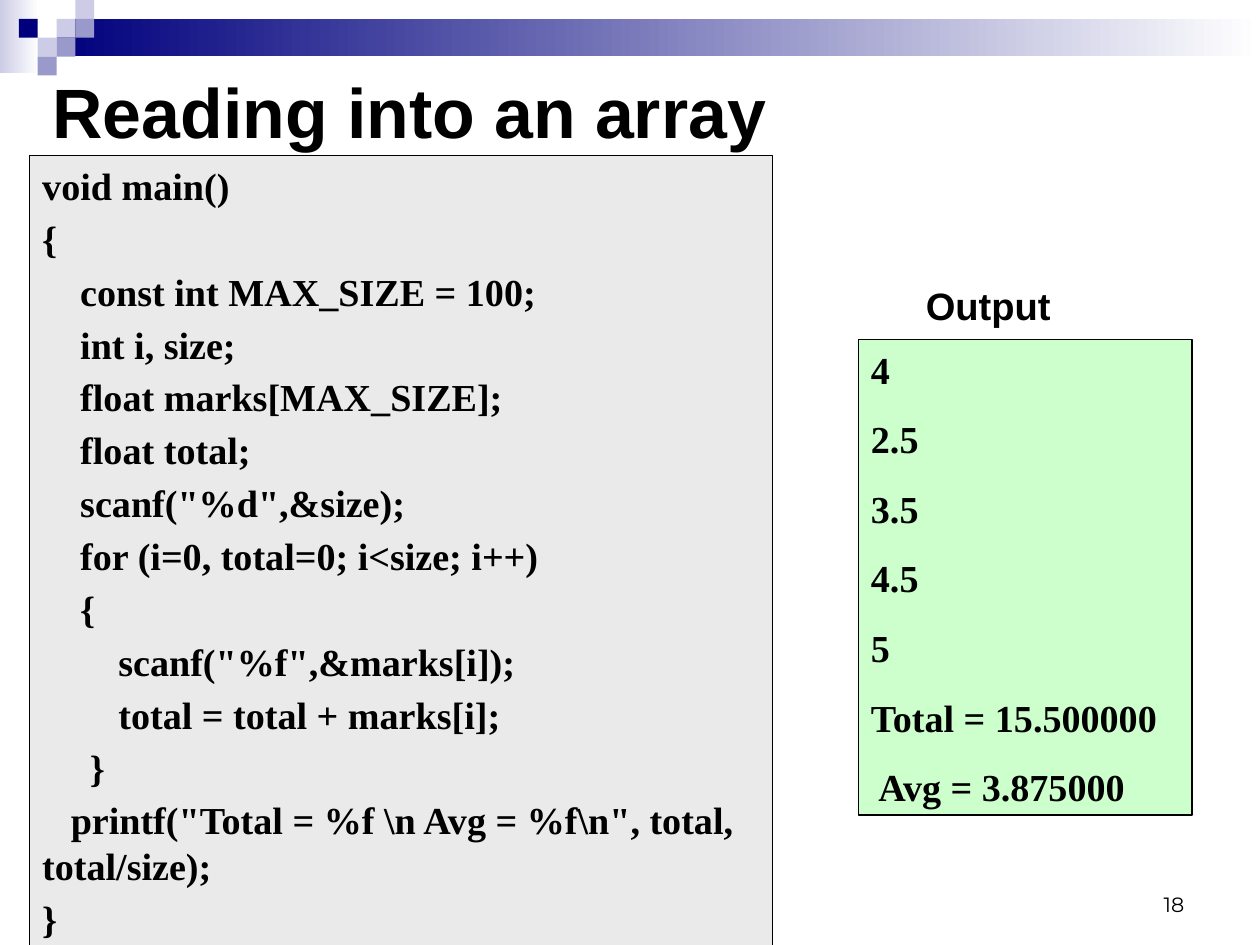
import pptx
import pptx.util
import pptx.dml.color
import pptx.enum.shapes
import pptx.enum.text

Inches, Pt = pptx.util.Inches, pptx.util.Pt
ALIGN, ANCHOR = pptx.enum.text.PP_ALIGN, pptx.enum.text.MSO_ANCHOR

TITLE = "Reading into an array"
HEADING = "Output"
NUMBER = "18"
CODE = [
    "void main()",
    "{",
    "    const int MAX_SIZE = 100;",
    "    int i, size;",
    "    float marks[MAX_SIZE];",
    "    float total;",
    '    scanf("%d",&size);',
    "    for (i=0, total=0; i<size; i++)",
    "    {",
    '        scanf("%f",&marks[i]);',
    "        total = total + marks[i];",
    "     }",
    '   printf("Total = %f \\n Avg = %f\\n", total, total/size);',
    "}",
]
OUTPUT = ["4", "2.5", "3.5", "4.5", "5", "Total = 15.500000", " Avg = 3.875000"]

WIDTH, HEIGHT = 28 / 2.54, 21 / 2.54
NAVY, MID, PALE, WHITE, BLACK = "00007D", "9999CC", "CCCCE6", "FFFFFF", "000000"
STEP = 0.66 / 4
BANDS = [
    ((0, 0, 0.34, 0.64), PALE),
    ((0.5, STEP, WIDTH - 0.5, 2 * STEP), NAVY),
]
SQUARES = [
    (3, 1, PALE), (4, 0, PALE), (4, 1, MID), (2, 2, PALE),
    (1, 1, NAVY), (3, 2, MID), (2, 3, MID),
]


def rgb(value):
    return pptx.dml.color.RGBColor.from_string(value)


def add_rect(s, box, fill, line=None, fade=None):
    sp = s.shapes.add_shape(
        pptx.enum.shapes.MSO_SHAPE.RECTANGLE, *[Inches(v) for v in box])
    sp.shadow.inherit = False
    if fade:
        sp.fill.gradient()
        sp.fill.gradient_angle = 0
        for stop, color in zip(sp.fill.gradient_stops, (fill, fade)):
            stop.color.rgb = rgb(color)
    else:
        sp.fill.solid()
        sp.fill.fore_color.rgb = rgb(fill)
    if line:
        sp.line.color.rgb = rgb(line)
        sp.line.width = Pt(1)
    else:
        sp.line.fill.background()
    return sp


def add_box(s, box):
    return s.shapes.add_textbox(*[Inches(v) for v in box])


def write(sp, lines, size, font, bold=True, gap=0,
          align=ALIGN.LEFT, anchor=ANCHOR.TOP, inset=(0.11, 0.06)):
    tf = sp.text_frame
    tf.word_wrap = True
    tf.vertical_anchor = anchor
    tf.margin_left = tf.margin_right = Inches(inset[0])
    tf.margin_top = tf.margin_bottom = Inches(inset[1])
    for i, line in enumerate(lines):
        p = tf.add_paragraph() if i else tf.paragraphs[0]
        p.alignment = align
        if i:
            p.space_before = Pt(gap)
        r = p.add_run()
        r.text = line
        r.font.size = Pt(size)
        r.font.name = font
        r.font.bold = bold
        r.font.color.rgb = rgb(BLACK)


def main():
    prs = pptx.Presentation()
    prs.slide_width, prs.slide_height = Inches(WIDTH), Inches(HEIGHT)
    s = prs.slides.add_slide(prs.slide_layouts[6])

    for box, color in BANDS:
        add_rect(s, box, color, fade=WHITE)
    for col, row, color in SQUARES:
        add_rect(s, (col * STEP, row * STEP, STEP, STEP), color)

    write(add_box(s, (7.9, 7.53, 2.57, 0.55)), [NUMBER], 13, "Montserrat",
          bold=False, align=ALIGN.RIGHT, anchor=ANCHOR.BOTTOM)
    write(add_box(s, (0.35, 0.55, 10.41, 0.84)), [TITLE], 44, "Arial",
          anchor=ANCHOR.MIDDLE)
    write(add_rect(s, (0.26, 1.36, 6.5, 6.92), "EAEAEA", BLACK), CODE, 24,
          "Times New Roman", gap=4.5)
    write(add_rect(s, (7.51, 2.97, 2.92, 4.16), "CCFFCC", BLACK), OUTPUT, 24,
          "Times New Roman", gap=15)
    write(add_box(s, (8.1, 2.47, 1.17, 0.4)), [HEADING], 24, "Arial",
          inset=(0, 0))

    prs.save("out.pptx")


if __name__ == "__main__":
    main()
